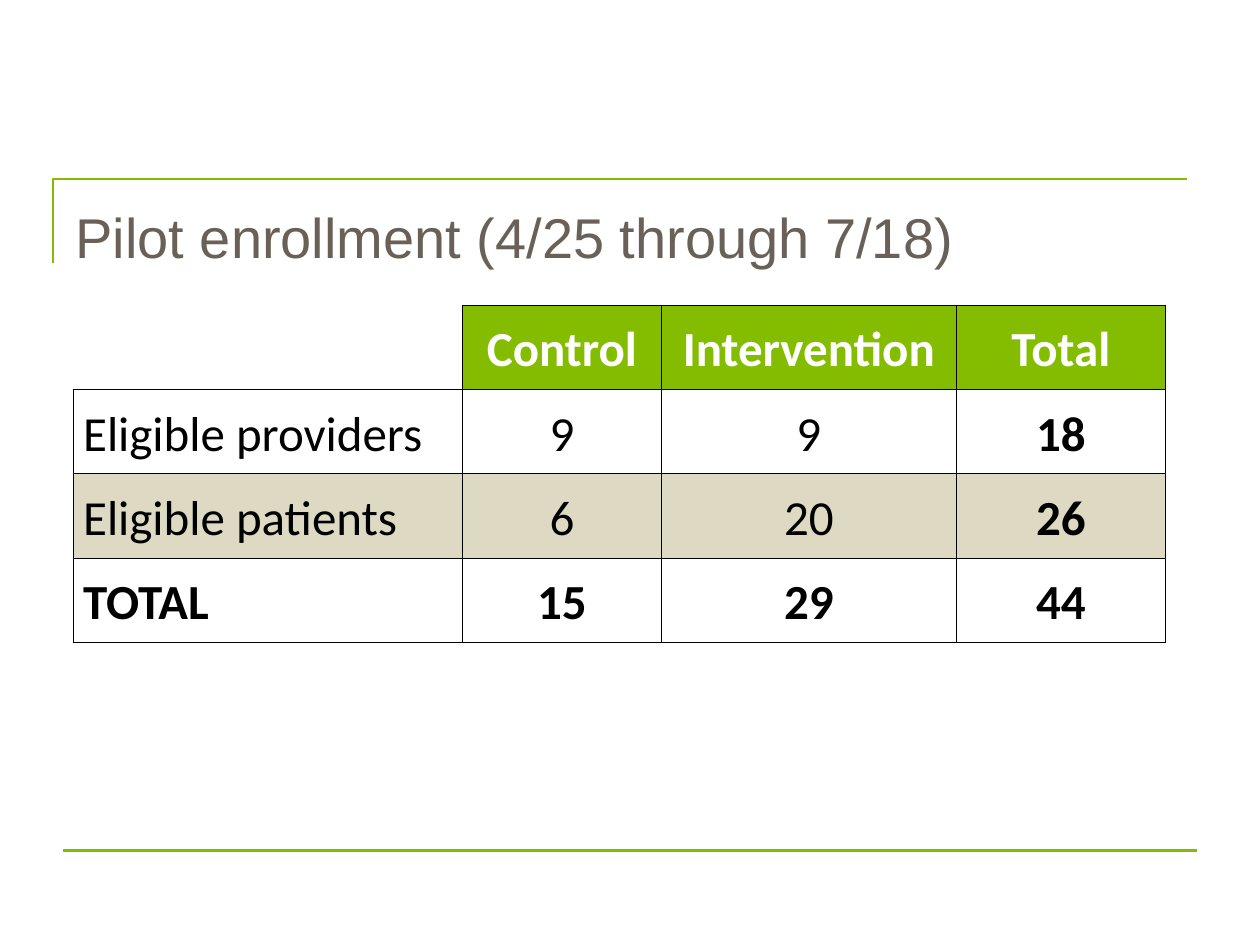
from lxml import etree
from pptx import Presentation
from pptx.dml.color import RGBColor
from pptx.enum.shapes import MSO_CONNECTOR
from pptx.enum.text import MSO_ANCHOR, PP_ALIGN
from pptx.oxml.ns import qn
from pptx.util import Inches, Pt

STRAIGHT = MSO_CONNECTOR.STRAIGHT
MIDDLE = MSO_ANCHOR.MIDDLE
LEFT, CENTER = PP_ALIGN.LEFT, PP_ALIGN.CENTER
TITLE_ONLY = 5

COLUMN_WIDTHS = [3.09, 1.58, 2.34, 1.66]
ROW_HEIGHT = 0.67
ENROLLMENT = [
    ["", "Control", "Intervention", "Total"],
    ["Eligible providers", "9", "9", "18"],
    ["Eligible patients", "6", "20", "26"],
    ["TOTAL", "15", "29", "44"],
]


def color(value):
    return RGBColor.from_string(value)


class SlideBuilder:
    green = "84BD00"
    gray = "696158"
    tan = "DDD9C3"
    black = "000000"
    white = "FFFFFF"

    def __init__(self, deck):
        self.page = deck.slides.add_slide(deck.slide_layouts[TITLE_ONLY])

    def style_text(self, paragraph, font_name, size, text_color, bold=False):
        for span in paragraph.runs:
            span.font.name = font_name
            span.font.size = Pt(size)
            span.font.bold = bold
            span.font.color.rgb = color(text_color)

    def style_line(self, shape):
        shape.line.color.rgb = color(self.green)
        shape.line.width = Pt(1.5)

    def title(self, text, left, top, width, height):
        box = self.page.shapes.title
        box.left, box.top = Inches(left), Inches(top)
        box.width, box.height = Inches(width), Inches(height)
        frame = box.text_frame
        frame.text = text
        frame.word_wrap = True
        frame.vertical_anchor = MIDDLE
        frame.paragraphs[0].alignment = LEFT
        self.style_text(frame.paragraphs[0], "Arial", 32, self.gray)

    def corner_rule(self, left, top, width, height):
        builder = self.page.shapes.build_freeform(
            Inches(left), Inches(top + height))
        builder.add_line_segments(
            [(Inches(left), Inches(top)), (Inches(left + width), Inches(top))],
            close=False)
        shape = builder.convert_to_shape()
        shape.shadow.inherit = False
        shape.fill.background()
        self.style_line(shape)

    def rule(self, left, top, width):
        line = self.page.shapes.add_connector(
            STRAIGHT, Inches(left), Inches(top), Inches(left + width), Inches(top))
        self.style_line(line)
        etree.SubElement(line._element.spPr, qn("a:effectLst"))

    def borders(self, cell, visible_sides):
        properties = cell._tc.get_or_add_tcPr()
        for side in "LRTB":
            border = etree.SubElement(properties, qn(f"a:ln{side}"), w=str(Pt(0.45)))
            if side in visible_sides:
                fill = etree.SubElement(border, qn("a:solidFill"))
                etree.SubElement(fill, qn("a:srgbClr"), val=self.black)
            else:
                etree.SubElement(border, qn("a:noFill"))

    def cell(self, cell, text, row, column, last_row, last_column):
        is_header = row == 0
        is_corner = is_header and column == 0
        self.borders(cell, "RB" if is_corner else "LRTB")
        cell.margin_left = cell.margin_right = Inches(0.08)
        cell.margin_top = cell.margin_bottom = Inches(0.05)
        fill_color = self.green if is_header else self.tan if row == 2 else None
        if fill_color and not is_corner:
            cell.fill.solid()
            cell.fill.fore_color.rgb = color(fill_color)
        else:
            cell.fill.background()
        cell.text_frame.text = text
        paragraph = cell.text_frame.paragraphs[0]
        paragraph.alignment = CENTER if column else LEFT
        paragraph.line_spacing = 1.15
        self.style_text(
            paragraph, "Calibri", 28, self.white if is_header else self.black,
            bold=is_header or row == last_row or column == last_column)

    def table(self, rows, left, top, widths, row_height):
        table = self.page.shapes.add_table(
            len(rows), len(widths), Inches(left), Inches(top),
            Inches(sum(widths)), Inches(row_height * len(rows))).table
        table.first_row = table.horz_banding = False
        for column, width in zip(table.columns, widths):
            column.width = Inches(width)
        for row, texts in enumerate(rows):
            table.rows[row].height = Inches(row_height)
            for column, text in enumerate(texts):
                self.cell(table.cell(row, column), text, row, column,
                          len(rows) - 1, len(widths) - 1)


def main():
    deck = Presentation()
    deck.slide_width, deck.slide_height = Inches(10), Inches(7.5)
    slide = SlideBuilder(deck)
    slide.corner_rule(0.42, 1.42, 9, 0.67)
    slide.rule(0.5, 6.75, 9)
    slide.title("Pilot enrollment (4/25 through 7/18)", 0.5, 1.5, 9, 0.75)
    slide.table(ENROLLMENT, 0.58, 2.42, COLUMN_WIDTHS, ROW_HEIGHT)
    deck.save("out.pptx")


if __name__ == "__main__":
    main()
